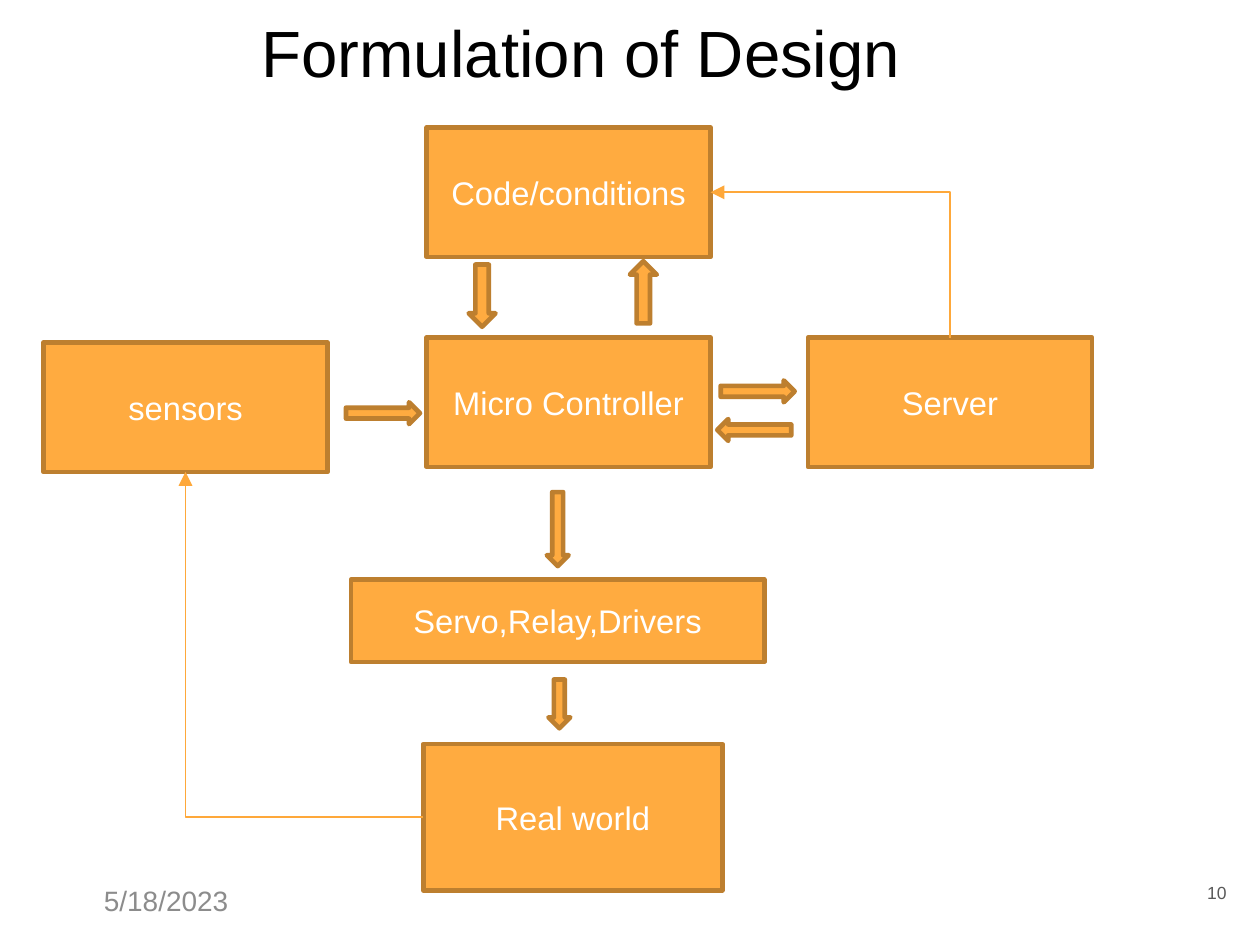
from dataclasses import dataclass
from pptx import Presentation
from pptx.dml.color import RGBColor
from pptx.enum.shapes import MSO_CONNECTOR, MSO_SHAPE as Shape
from pptx.enum.text import MSO_ANCHOR as Anchor, PP_ALIGN as Align
from pptx.oxml.ns import qn
from pptx.util import Inches, Pt
from lxml.etree import SubElement


@dataclass(frozen=True)
class Theme:
    font: str = "Arial"
    fill: str = "FFAB40"
    border: str = "BD7F2F"
    link: str = "FEA83A"
    box_text: str = "FFFFFF"
    title: str = "000000"
    number: str = "595959"
    date: str = "8C8C8C"
    title_size: float = 28
    box_size: float = 14
    date_size: float = 12
    number_size: float = 7.5
    border_width: float = 2
    link_width: float = 0.75


THEME = Theme()
WIDTH = 7.5
HEIGHT = WIDTH * 3 / 4

# Grid of the diagram
COLS = (0.26, 2.54, 4.81)
ROWS = (0.76, 2.01, 3.45, 4.43)
BOX_W, BOX_H = 1.69, 0.77

# name: (text, left, top, width, height)
BOXES = {
    "sensors": ("sensors", COLS[0], ROWS[1] + 0.03, BOX_W, BOX_H),
    "controller": ("Micro Controller", COLS[1], ROWS[1], BOX_W, BOX_H),
    "server": ("Server", COLS[2], ROWS[1], BOX_W, BOX_H),
    "world": ("Real world", COLS[1] - 0.02, ROWS[3], 1.78, 0.87),
    "code": ("Code/conditions", COLS[1], ROWS[0], BOX_W, BOX_H),
    "drivers": ("Servo,Relay,Drivers", 2.09, ROWS[2], 2.46, 0.49),
}

# (direction, centre x, centre y, length, thickness)
ARROWS = [
    (Shape.DOWN_ARROW, 2.87, 1.76, 0.37, 0.16),
    (Shape.UP_ARROW, 3.83, 1.74, 0.37, 0.16),
    (Shape.RIGHT_ARROW, 2.28, 2.46, 0.44, 0.13),
    (Shape.LEFT_ARROW, 4.49, 2.56, 0.44, 0.13),
    (Shape.RIGHT_ARROW, 4.51, 2.33, 0.44, 0.13),
    (Shape.DOWN_ARROW, 3.32, 3.15, 0.44, 0.13),
    (Shape.DOWN_ARROW, 3.33, 4.19, 0.29, 0.13),
]
HORIZONTAL = (Shape.LEFT_ARROW, Shape.RIGHT_ARROW)

# (first box, side, second box, side, end with the arrowhead)
TOP, LEFT, BOTTOM, RIGHT = range(4)
LINKS = [
    ("world", LEFT, "sensors", BOTTOM, "a:tailEnd"),
    ("code", RIGHT, "server", TOP, "a:headEnd"),
]

# (text, (left, top, width, height), size, colour, alignment, anchor)
LABELS = [
    ("Formulation of Design", (1.46, 0.05, 5.88, 0.59),
     THEME.title_size, THEME.title, Align.LEFT, Anchor.BOTTOM),
    ("10", (6.95, 5.1, 0.45, 0.43),
     THEME.number_size, THEME.number, Align.RIGHT, Anchor.MIDDLE),
    ("5/18/2023", (0.52, 5.21, 1.69, 0.3),
     THEME.date_size, THEME.date, Align.LEFT, Anchor.MIDDLE),
]


def rgb(colour):
    return RGBColor.from_string(colour)


def write(sp, text, size, colour, align, anchor):
    tf = sp.text_frame
    tf.word_wrap = True
    tf.vertical_anchor = anchor
    p = tf.paragraphs[0]
    p.alignment = align
    r = p.add_run()
    r.text = text
    r.font.name = THEME.font
    r.font.size = Pt(size)
    r.font.color.rgb = rgb(colour)


def add_label(s, text, place, size, colour, align, anchor):
    sp = s.shapes.add_textbox(*map(Inches, place))
    write(sp, text, size, colour, align, anchor)
    tf = sp.text_frame
    if anchor == Anchor.BOTTOM:
        tf.margin_top = tf.margin_bottom = Inches(0.1)


def add_block(s, kind, *place):
    sp = s.shapes.add_shape(kind, *map(Inches, place))
    sp.shadow.inherit = False
    sp.fill.solid()
    sp.fill.fore_color.rgb = rgb(THEME.fill)
    sp.line.color.rgb = rgb(THEME.border)
    sp.line.width = Pt(THEME.border_width)
    return sp


def add_arrow(s, kind, x, y, length, thickness):
    w, h = (length, thickness) if kind in HORIZONTAL else (thickness, length)
    add_block(s, kind, x - w / 2, y - h / 2, w, h)


def add_link(s, first, first_side, second, second_side, head):
    """Join two boxes by a line with one bend: across, then up or down."""
    link = s.shapes.add_connector(MSO_CONNECTOR.ELBOW, 0, 0, 0, 0)
    link.begin_connect(first, first_side)
    link.end_connect(second, second_side)
    link.line.color.rgb = rgb(THEME.link)
    link.line.width = Pt(THEME.link_width)
    props = link._element.spPr
    props.find(qn("a:prstGeom")).set("prst", "bentConnector2")
    SubElement(props.find(qn("a:ln")), qn(head)).set("type", "triangle")
    SubElement(props, qn("a:effectLst"))


def main():
    prs = Presentation()
    prs.slide_width, prs.slide_height = Inches(WIDTH), Inches(HEIGHT)
    s = prs.slides.add_slide(prs.slide_layouts[6])
    for label in LABELS:
        add_label(s, *label)
    boxes = {}
    for name, (text, *place) in BOXES.items():
        boxes[name] = add_block(s, Shape.RECTANGLE, *place)
        write(boxes[name], text, THEME.box_size, THEME.box_text,
              Align.CENTER, Anchor.MIDDLE)
    for arrow in ARROWS:
        add_arrow(s, *arrow)
    for first, first_side, second, second_side, head in LINKS:
        add_link(s, boxes[first], first_side, boxes[second], second_side, head)
    prs.save("out.pptx")


if __name__ == "__main__":
    main()
